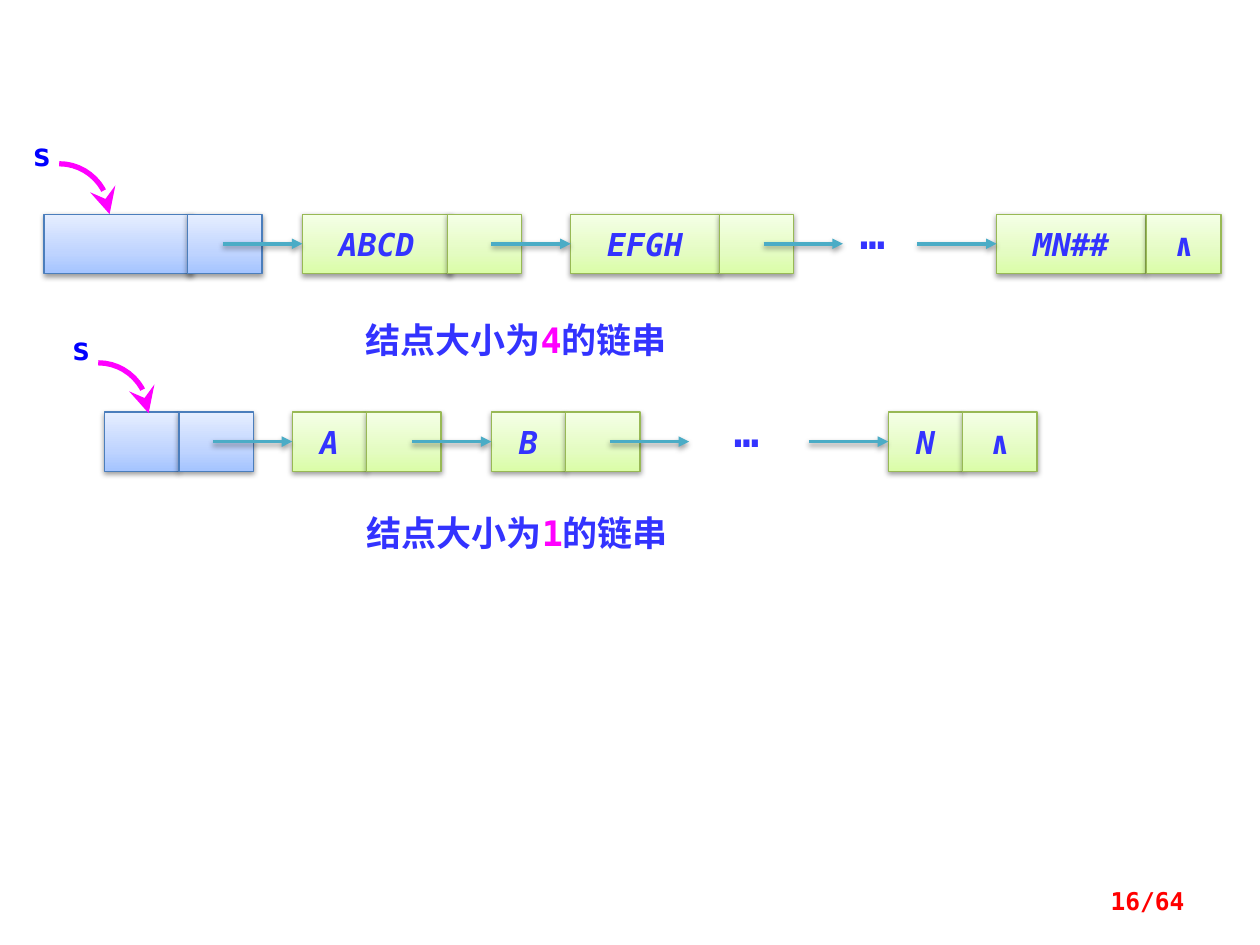
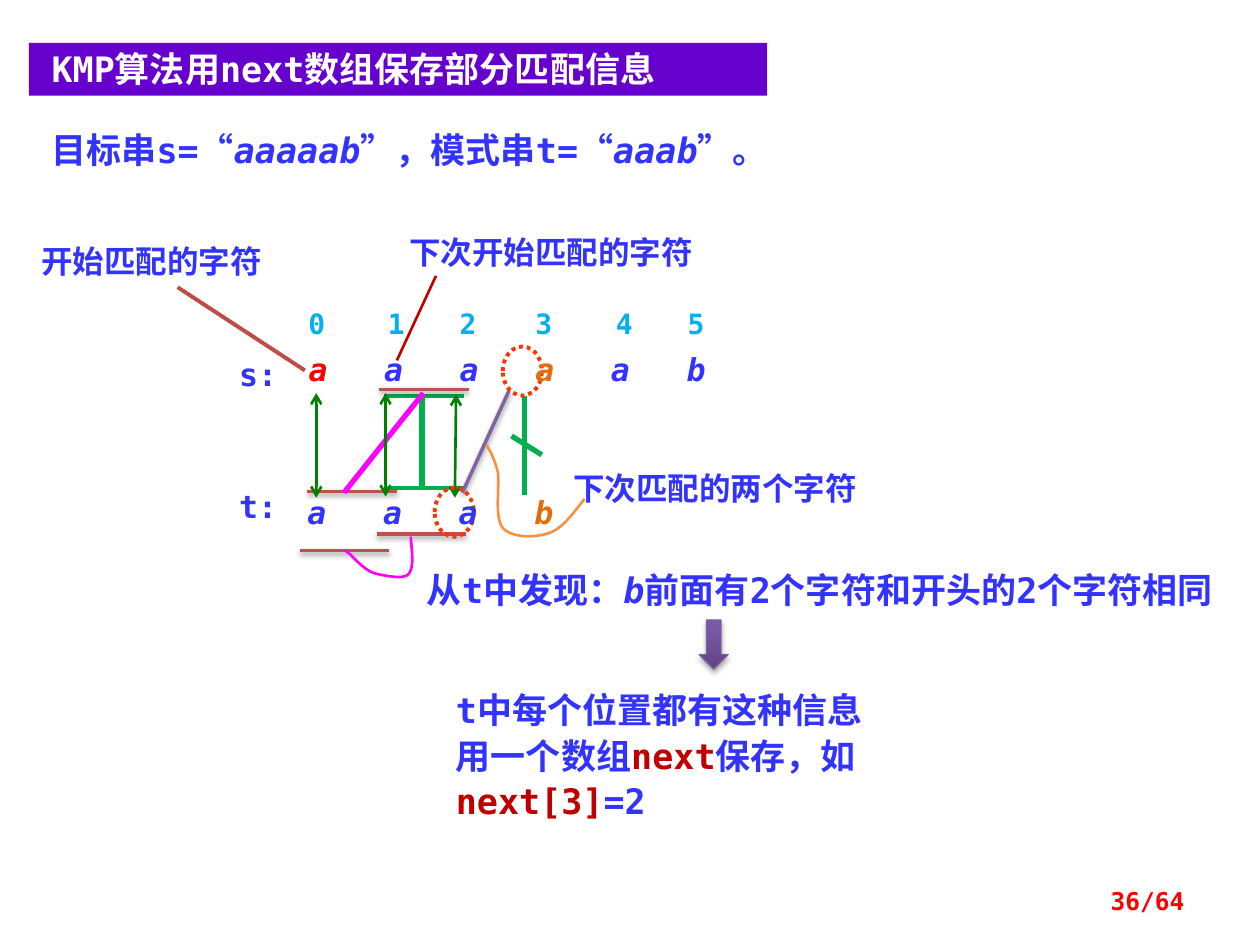
from copy import deepcopy

from lxml.etree import SubElement
from pptx import Presentation
from pptx.dml.color import RGBColor
from pptx.enum.dml import MSO_LINE
from pptx.enum.shapes import MSO_CONNECTOR, MSO_SHAPE
from pptx.enum.text import MSO_ANCHOR, PP_ALIGN
from pptx.oxml.ns import qn
from pptx.util import Inches, Pt

MONO, CJK = "DejaVu Sans Mono", "Noto Sans CJK SC"
WHITE = RGBColor(0xFF, 0xFF, 0xFF)
INK = RGBColor(0x33, 0x33, 0xFF)
BLUE = RGBColor(0x00, 0x00, 0xFF)
RED = RGBColor(0xFF, 0x00, 0x00)
DARK_RED = RGBColor(0xC0, 0x00, 0x00)
BRICK = RGBColor(0xC0, 0x50, 0x4D)
RUST = RGBColor(0xBF, 0x4C, 0x48)
DOT_RED = RGBColor(0xFF, 0x33, 0x00)
ORANGE = RGBColor(0xE4, 0x6C, 0x0A)
LIGHT_ORANGE = RGBColor(0xF6, 0x92, 0x40)
MAGENTA = RGBColor(0xFF, 0x00, 0xFF)
SKY = RGBColor(0x00, 0xB0, 0xF0)
TEAL = RGBColor(0x4B, 0xAC, 0xC6)
GREEN = RGBColor(0x00, 0xB0, 0x50)
DARK_GREEN = RGBColor(0x00, 0x80, 0x00)
VIOLET = RGBColor(0x80, 0x64, 0xA2)
BAND = RGBColor(0x66, 0x00, 0xCC)
HEAD_EDGE = RGBColor(0x4B, 0x7E, 0xBC)
NODE_EDGE = RGBColor(0x98, 0xB9, 0x55)
ARROW_EDGE = RGBColor(0x7D, 0x60, 0xA0)
HEAD_STOPS = [(0, "A4C4FF"), (0.35, "BFD4FF"), (1, "E6EEFF")]
NODE_STOPS = [(0, "DAFDA7"), (0.35, "E4FCC2"), (1, "F5FFE7")]
ARROW_STOPS = [(0, "5F4480"), (0.8, "7B58A6"), (1, "7C57A8")]


def write(sp, paras, size=18, color=INK, bold=True, italic=False, font=MONO,
          align=PP_ALIGN.LEFT, anchor=MSO_ANCHOR.TOP, wrap=True,
          inset=(0.1, 0.05), spacing=None, tabs=()):
    """Fill sp with text: a string, or paragraphs of (text, overrides) runs."""
    tf = sp.text_frame
    tf.word_wrap, tf.vertical_anchor = wrap, anchor
    tf.margin_left = tf.margin_right = Inches(inset[0])
    tf.margin_top = tf.margin_bottom = Inches(inset[1])
    if isinstance(paras, str):
        paras = [[(paras, {})]]
    for i, runs in enumerate(paras):
        p = tf.add_paragraph() if i else tf.paragraphs[0]
        p.alignment = align
        if spacing:
            p.line_spacing = Pt(spacing)
        if tabs:
            tab_list = SubElement(p._p.get_or_add_pPr(), qn("a:tabLst"))
            for pos in tabs:
                SubElement(tab_list, qn("a:tab"), pos=str(Inches(pos)), algn="l")
        for text, changes in runs:
            r = p.add_run()
            r.text = text
            r.font.name, r.font.size, r.font.bold = font, Pt(size), bold
            r.font.italic = changes.get("italic", italic)
            r.font.color.rgb = changes.get("color", color)
            SubElement(r._r.get_or_add_rPr(), qn("a:ea"), typeface=CJK)


def finish(sp, color, width, stops=None, shadow=None, head=None, tail=None,
           end_size="med"):
    """Set gradient, line, arrowheads and shadow (opacity %, distance in points)."""
    sp.line.color.rgb = color
    sp.line.width = Pt(width)
    spPr = sp.element.spPr
    if stops:
        sp.fill.gradient()
        sp.fill.gradient_angle = 90
        stop_list = spPr.find(".//" + qn("a:gsLst"))
        stop_list.append(deepcopy(stop_list[-1]))
        for stop, (pos, rgb) in zip(sp.fill.gradient_stops, stops):
            stop.position = pos
            stop.color.rgb = RGBColor.from_string(rgb)
    for end, kind in (("a:headEnd", head), ("a:tailEnd", tail)):
        if kind:
            SubElement(spPr.get_or_add_ln(), qn(end), type=kind, w=end_size, len=end_size)
    effects = SubElement(spPr, qn("a:effectLst"))
    if shadow:
        alpha, dist = shadow
        outer = SubElement(effects, qn("a:outerShdw"), blurRad=str(Pt(3.1)),
                           dist=str(Pt(dist)), dir="5400000", rotWithShape="0")
        rgb = SubElement(outer, qn("a:srgbClr"), val="000000")
        SubElement(rgb, qn("a:alpha"), val=str(alpha * 1000))


SOFT = (38, 1.6)
CENTER = dict(align=PP_ALIGN.CENTER)

prs = Presentation()
prs.slide_width, prs.slide_height = Inches(10), Inches(7.5)
chain_slide, kmp_slide = [prs.slides.add_slide(prs.slide_layouts[6]) for _ in range(2)]

# Linked strings: each node is (data left, pointer left, data, pointer mark)
CELL, HEIGHT, REACH = 0.59, 0.47, 0.63
chains = [
    (1.7, 1.18, [(0.35, 1.49, "", ""), (2.4, 3.55, "ABCD", ""),
                 (4.53, 5.71, "EFGH", ""), (7.91, 9.1, "MN##", "∧")]),
    (3.27, CELL, [(0.83, 1.42, "", ""), (2.32, 2.91, "A", ""),
                  (3.9, 4.49, "B", ""), (7.05, 7.64, "N", "∧")]),
]
s = chain_slide
for top, data_width, nodes in chains:
    mid = top + HEIGHT / 2
    data_cells = []
    for i, (data_x, pointer_x, data, mark) in enumerate(nodes):
        edge, stops = (NODE_EDGE, NODE_STOPS) if i else (HEAD_EDGE, HEAD_STOPS)
        for x, width, text in ((data_x, data_width, data), (pointer_x, CELL, mark)):
            sp = s.shapes.add_shape(MSO_SHAPE.RECTANGLE, Inches(x), Inches(top),
                                    Inches(width), Inches(HEIGHT))
            finish(sp, edge, 0.75, stops, SOFT)
            if text:
                write(sp, text, italic=text != "∧", wrap=False,
                      anchor=MSO_ANCHOR.MIDDLE, **CENTER)
            if x == data_x:
                data_cells.append(sp)
    arrows = [(node[0] - REACH, cell) for node, cell in zip(nodes[1:], data_cells[1:])]
    arrows.append((nodes[2][1] + 0.35, None))
    for x, target in arrows:
        link = s.shapes.add_connector(MSO_CONNECTOR.STRAIGHT, Inches(x), Inches(mid),
                                      Inches(x + REACH), Inches(mid))
        if target is not None:
            link.end_connect(target, 1)
        finish(link, TEAL, 2, shadow=SOFT, tail="triangle")

# Lines on the matching slide: start, end, colour, width, other format
s = kmp_slide
both_ends = dict(head="arrow", tail="arrow")
soft = dict(shadow=SOFT)
lines = [
    (3.05, 3.87, 3.68, 3.87, GREEN, 2.25, {}),
    (3.05, 3.14, 3.68, 3.14, GREEN, 2.25, {}),
    (3.35, 3.15, 3.35, 3.86, GREEN, 3, {}),
    (2.44, 3.9, 3.15, 3.9, BRICK, 2, soft),
    (3.01, 3.09, 3.72, 3.09, BRICK, 2, soft),
    (3.36, 3.12, 2.73, 3.91, MAGENTA, 3, {}),
    (2.99, 4.24, 3.7, 4.24, BRICK, 2, soft),
    (2.38, 4.37, 3.09, 4.37, BRICK, 2, soft),
    (4.16, 3.14, 4.16, 3.93, GREEN, 3, {}),
    (4.06, 3.46, 4.3, 3.61, GREEN, 3, {}),
    (4.04, 3.1, 3.67, 3.91, VIOLET, 2, soft),
    (1.41, 2.28, 2.42, 2.94, RUST, 2.25, {}),
    (2.51, 3.12, 2.51, 3.95, DARK_GREEN, 1.5, both_ends),
    (3.06, 3.12, 3.06, 3.94, DARK_GREEN, 1.5, both_ends),
    (3.62, 3.13, 3.61, 3.95, DARK_GREEN, 1.5, both_ends),
    (3.46, 2.19, 3.15, 2.86, DARK_RED, 1.5, {}),
]
for x1, y1, x2, y2, color, width, extra in lines:
    line = s.shapes.add_connector(MSO_CONNECTOR.STRAIGHT, Inches(x1), Inches(y1),
                                  Inches(x2), Inches(y2))
    finish(line, color, width, **extra)

for x, y in ((3.99, 2.75), (3.45, 3.87)):
    ring = s.shapes.add_shape(MSO_SHAPE.OVAL, Inches(x), Inches(y),
                              Inches(0.31), Inches(0.39))
    ring.fill.background()
    finish(ring, DOT_RED, 2.25)
    ring.line.dash_style = MSO_LINE.ROUND_DOT

down = s.shapes.add_shape(MSO_SHAPE.DOWN_ARROW, Inches(5.55), Inches(4.92),
                          Inches(0.23), Inches(0.39))
finish(down, ARROW_EDGE, 0.75, ARROW_STOPS, (35, 1.8))

title = s.shapes.add_shape(MSO_SHAPE.RECTANGLE, Inches(0.23), Inches(0.34),
                           Inches(5.86), Inches(0.42))
title.fill.solid()
title.fill.fore_color.rgb = BAND
title.line.fill.background()
title.shadow.inherit = False
write(title, "KMP算法用next数组保存部分匹配信息", size=20, color=WHITE, inset=(0.18, 0.04))

# Cubic curves: start point, then three points for each segment
curves = [(chain_slide, [(x, y), (x + 0.22, y), (x + 0.4, y + 0.18), (x + 0.4, y + 0.4)],
           MAGENTA, 3, "stealth") for x, y in ((0.47, 1.3), (0.78, 2.88))]
curves += [
    (kmp_slide, [(2.73, 4.37), (2.74, 4.37), (2.74, 4.37), (2.78, 4.4), (2.82, 4.44),
                 (2.89, 4.52), (2.97, 4.55), (3.05, 4.57), (3.2, 4.6), (3.24, 4.56),
                 (3.29, 4.51), (3.27, 4.38), (3.26, 4.26)], MAGENTA, 1.5, None),
    (kmp_slide, [(3.86, 3.53), (3.89, 3.58), (3.92, 3.63), (3.95, 3.74), (3.97, 3.85),
                 (3.92, 4.1), (3.99, 4.19), (4.06, 4.27), (4.25, 4.27), (4.36, 4.23),
                 (4.47, 4.19), (4.55, 4.07), (4.64, 3.96)], LIGHT_ORANGE, 1.5, None),
]
STEPS = 12
for s, points, color, width, tail in curves:
    trace = []
    for i in range(0, len(points) - 1, 3):
        for step in range(1, STEPS + 1):
            t = step / STEPS
            weights = ((1 - t) ** 3, 3 * t * (1 - t) ** 2, 3 * t * t * (1 - t), t ** 3)
            trace.append([Inches(sum(w * pt[axis] for w, pt in zip(weights, points[i:i + 4])))
                          for axis in (0, 1)])
    start_x, start_y = points[0]
    builder = s.shapes.build_freeform(Inches(start_x), Inches(start_y))
    builder.add_line_segments(trace, close=False)
    sp = builder.convert_to_shape()
    sp.fill.background()
    finish(sp, color, width, tail=tail, end_size="lg")

# Text boxes: slide, left, top, width, height, text, format
pink, dark_red, slanted = dict(color=MAGENTA), dict(color=DARK_RED), dict(italic=True)
orange = dict(color=ORANGE)
pitch = [0.6 * i for i in range(1, 6)]
footer = dict(size=14, color=RED, align=PP_ALIGN.RIGHT, anchor=MSO_ANCHOR.MIDDLE)
dots = dict(size=24, **CENTER)
labels = [
    (chain_slide, 2.8, 2.48, 3.23, 0.44,
     [[("结点大小为", {}), ("4", pink), ("的链串", {})]], dict(size=20)),
    (chain_slide, 2.81, 4.01, 2.83, 0.44,
     [[("结点大小为", {}), ("1", pink), ("的链串", {})]], dict(size=20)),
    (chain_slide, 0.16, 1.02, 0.47, 0.4, "s", dict(color=BLUE)),
    (chain_slide, 0.47, 2.56, 0.47, 0.4, "s", dict(color=BLUE)),
    (chain_slide, 6.57, 1.6, 0.71, 0.5, "…", dots),
    (chain_slide, 5.61, 3.17, 0.63, 0.5, "…", dots),
    (chain_slide, 7.17, 6.95, 2.33, 0.4, "16/64", footer),
    (kmp_slide, 0.31, 0.97, 5.7, 0.44,
     [[("目标串s=“", {}), ("aaaaab", slanted), ("”，模式串t=“", {}),
       ("aaab", slanted), ("”。", {})]], dict(size=20)),
    (kmp_slide, 2.35, 2.3, 3.43, 0.5, "0\t1\t2\t3\t4\t5",
     dict(size=16, color=SKY, tabs=[0.63, 1.2, 1.8, 2.44, 3.01], inset=(0.1, 0.15))),
    (kmp_slide, 2.35, 2.73, 3.59, 0.4,
     [[("a", dict(color=RED)), ("\ta\ta\t", {}), ("a", orange), ("\ta\tb", {})]],
     dict(italic=True, tabs=pitch)),
    (kmp_slide, 2.44, 3.91, 2.19, 0.3, [[("a\ta\ta\t", {}), ("b", orange)]],
     dict(italic=True, tabs=pitch, inset=(0, 0))),
    (kmp_slide, 1.8, 2.77, 0.55, 0.4, "s:", {}),
    (kmp_slide, 1.8, 3.82, 0.55, 0.4, "t:", {}),
    (kmp_slide, 0.23, 1.87, 2.34, 0.4, "开始匹配的字符", dict(font=CJK)),
    (kmp_slide, 3.15, 1.8, 2.81, 0.4, "下次开始匹配的字符", dict(font=CJK)),
    (kmp_slide, 4.45, 3.67, 2.81, 0.4, "下次匹配的两个字符", dict(font=CJK)),
    (kmp_slide, 3.29, 4.46, 6.48, 0.44,
     [[("从t中发现：", {}), ("b", slanted), ("前面有2个字符和开头的2个字符相同", {})]],
     dict(size=20)),
    (kmp_slide, 3.52, 5.39, 4.77, 0.83,
     [[("t中每个位置都有这种信息", {})],
      [("用一个数组", {}), ("next", dark_red), ("保存，如", {}),
       ("next[3]", dark_red), ("=2", {})]], dict(size=20, spacing=26)),
    (kmp_slide, 7.17, 6.95, 2.33, 0.4, "36/64", footer),
]
for s, x, y, width, height, text, fmt in labels:
    box = s.shapes.add_textbox(Inches(x), Inches(y), Inches(width), Inches(height))
    write(box, text, **fmt)

prs.save("out.pptx")
